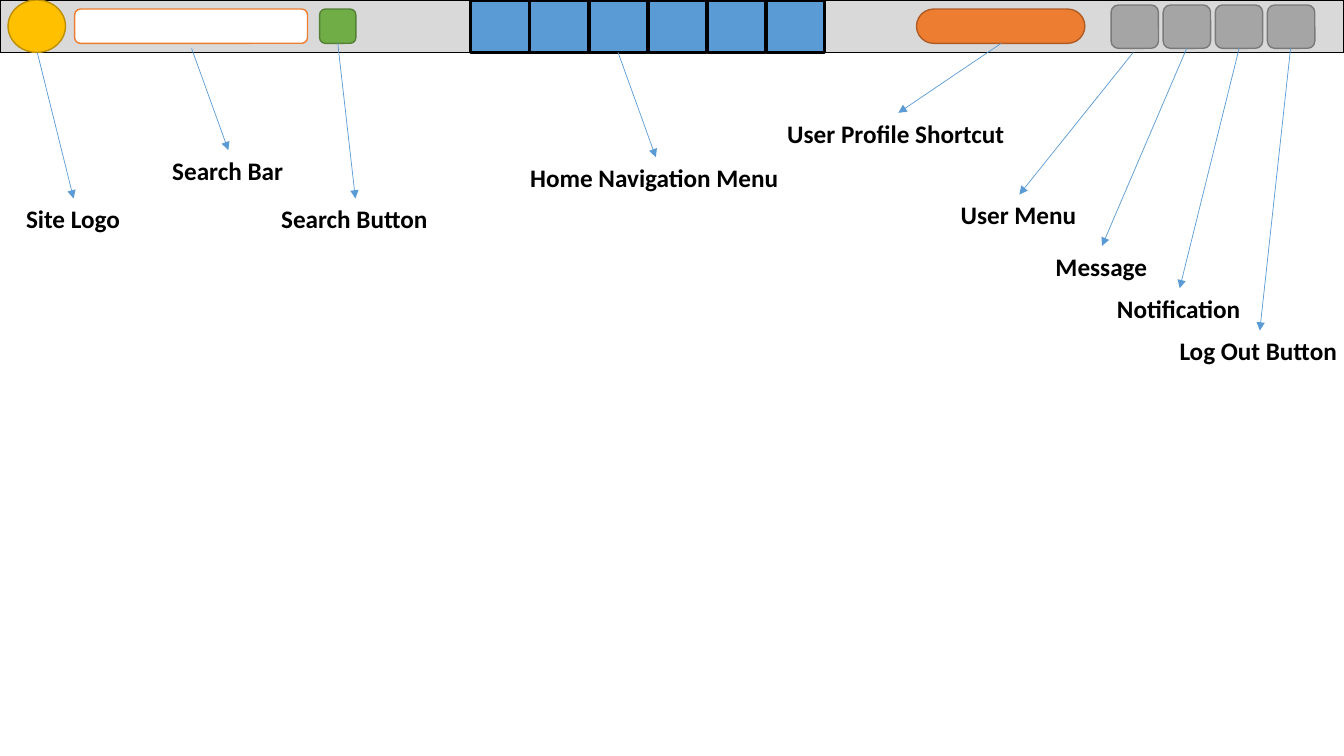
from lxml import etree
from pptx import Presentation
from pptx.dml.color import RGBColor
from pptx.enum.shapes import MSO_CONNECTOR, MSO_SHAPE
from pptx.enum.text import MSO_AUTO_SIZE
from pptx.oxml.ns import qn
from pptx.util import Inches, Pt

RECTANGLE = MSO_SHAPE.RECTANGLE
ROUNDED = MSO_SHAPE.ROUNDED_RECTANGLE
OVAL = MSO_SHAPE.OVAL
STRAIGHT = MSO_CONNECTOR.STRAIGHT
FIT_TEXT = MSO_AUTO_SIZE.SHAPE_TO_FIT_TEXT

BLACK = RGBColor(0x00, 0x00, 0x00)
WHITE = RGBColor(0xFF, 0xFF, 0xFF)
LIGHT_GRAY = RGBColor(0xD9, 0xD9, 0xD9)
GRAY = RGBColor(0xA5, 0xA5, 0xA5)
DARK_GRAY = RGBColor(0x7A, 0x7A, 0x7A)
GOLD = RGBColor(0xFF, 0xC0, 0x00)
DARK_GOLD = RGBColor(0xBD, 0x8E, 0x00)
ORANGE = RGBColor(0xED, 0x7D, 0x31)
DARK_ORANGE = RGBColor(0xAF, 0x5C, 0x24)
GREEN = RGBColor(0x70, 0xAD, 0x47)
DARK_GREEN = RGBColor(0x53, 0x80, 0x35)
BLUE = RGBColor(0x5B, 0x9B, 0xD5)

FONT = "Calibri"
SLIDE_WIDTH = 13.33
BAR_HEIGHT = 0.52
FIELD_TOP, FIELD_HEIGHT = 0.09, 0.34
MENU_LEFT, MENU_COUNT, MENU_PITCH = 4.67, 6, 0.586
ICON_LEFT, ICON_COUNT, ICON_PITCH = 11.02, 4, 0.517
LABEL_HEIGHT = 0.4

CALLOUTS = [
    ("Site Logo", 0.16, 1.97, 1.14, (0.37, 0.52)),
    ("Search Bar", 1.61, 1.49, 1.31, (1.9, 0.48)),
    ("Search Button", 2.69, 1.97, 1.67, (3.35, 0.43)),
    ("Home Navigation Menu", 5.16, 1.56, 2.69, (6.13, 0.52)),
    ("User Profile Shortcut", 7.71, 1.12, 2.4, (9.93, 0.43)),
    ("User Menu", 9.43, 1.93, 1.36, (11.24, 0.52)),
    ("Message", 10.37, 2.44, 1.12, (11.77, 0.48)),
    ("Notification", 10.98, 2.86, 1.44, (12.29, 0.48)),
    ("Log Out Button", 11.6, 3.28, 1.79, (12.8, 0.48)),
]


def add_block(slide, kind, box, fill, outline, line_width=1):
    """Add a filled, outlined shape and return it."""
    shape = slide.shapes.add_shape(kind, *map(Inches, box))
    shape.shadow.inherit = False
    shape.fill.solid()
    shape.fill.fore_color.rgb = fill
    shape.line.color.rgb = outline
    shape.line.width = Pt(line_width)
    return shape


def add_label(slide, text, left, top, width):
    """Add a bold one-line label."""
    label = slide.shapes.add_textbox(
        Inches(left), Inches(top), Inches(width), Inches(LABEL_HEIGHT))
    text_frame = label.text_frame
    text_frame.word_wrap = False
    text_frame.auto_size = FIT_TEXT
    text_frame.text = text
    font = text_frame.paragraphs[0].runs[0].font
    font.name = FONT
    font.size = Pt(18)
    font.bold = True
    font.color.rgb = BLACK


def add_arrow(slide, start, end):
    """Add a thin arrow that points at its end."""
    arrow = slide.shapes.add_connector(STRAIGHT, *map(Inches, (*start, *end)))
    arrow.line.color.rgb = BLUE
    arrow.line.width = Pt(0.5)
    etree.SubElement(arrow.line._get_or_add_ln(), qn("a:tailEnd"), type="triangle")
    etree.SubElement(arrow._element.spPr, qn("a:effectLst"))


def add_callout(slide, text, left, top, width, start):
    """Add a label with an arrow from its header element to its top centre."""
    add_label(slide, text, left, top, width)
    add_arrow(slide, start, (left + width / 2, top))


def add_header(slide):
    """Add the header bar with its logo, search, menu and user elements."""
    add_block(slide, RECTANGLE, (0, 0, SLIDE_WIDTH, BAR_HEIGHT), LIGHT_GRAY, BLACK)
    add_block(slide, OVAL, (0.08, 0, 0.57, BAR_HEIGHT), GOLD, DARK_GOLD)
    add_block(slide, ROUNDED, (0.74, FIELD_TOP, 2.31, FIELD_HEIGHT), WHITE, ORANGE)
    add_block(slide, ROUNDED, (3.17, FIELD_TOP, 0.36, FIELD_HEIGHT), GREEN, DARK_GREEN)
    for index in range(MENU_COUNT):
        left = MENU_LEFT + index * MENU_PITCH
        add_block(slide, RECTANGLE, (left, 0, 0.58, BAR_HEIGHT), BLUE, BLACK, 2.25)
    profile = add_block(
        slide, ROUNDED, (9.09, FIELD_TOP, 1.67, FIELD_HEIGHT), ORANGE, DARK_ORANGE)
    profile.adjustments[0] = 0.5
    for index in range(ICON_COUNT):
        left = ICON_LEFT + index * ICON_PITCH
        add_block(slide, ROUNDED, (left, 0.05, 0.47, 0.43), GRAY, DARK_GRAY)


def main():
    """Build the annotated header slide and save it."""
    presentation = Presentation()
    presentation.slide_width = Inches(SLIDE_WIDTH)
    presentation.slide_height = Inches(7.5)
    slide = presentation.slides.add_slide(presentation.slide_layouts[6])
    add_header(slide)
    for callout in CALLOUTS:
        add_callout(slide, *callout)
    presentation.save("out.pptx")


main()
